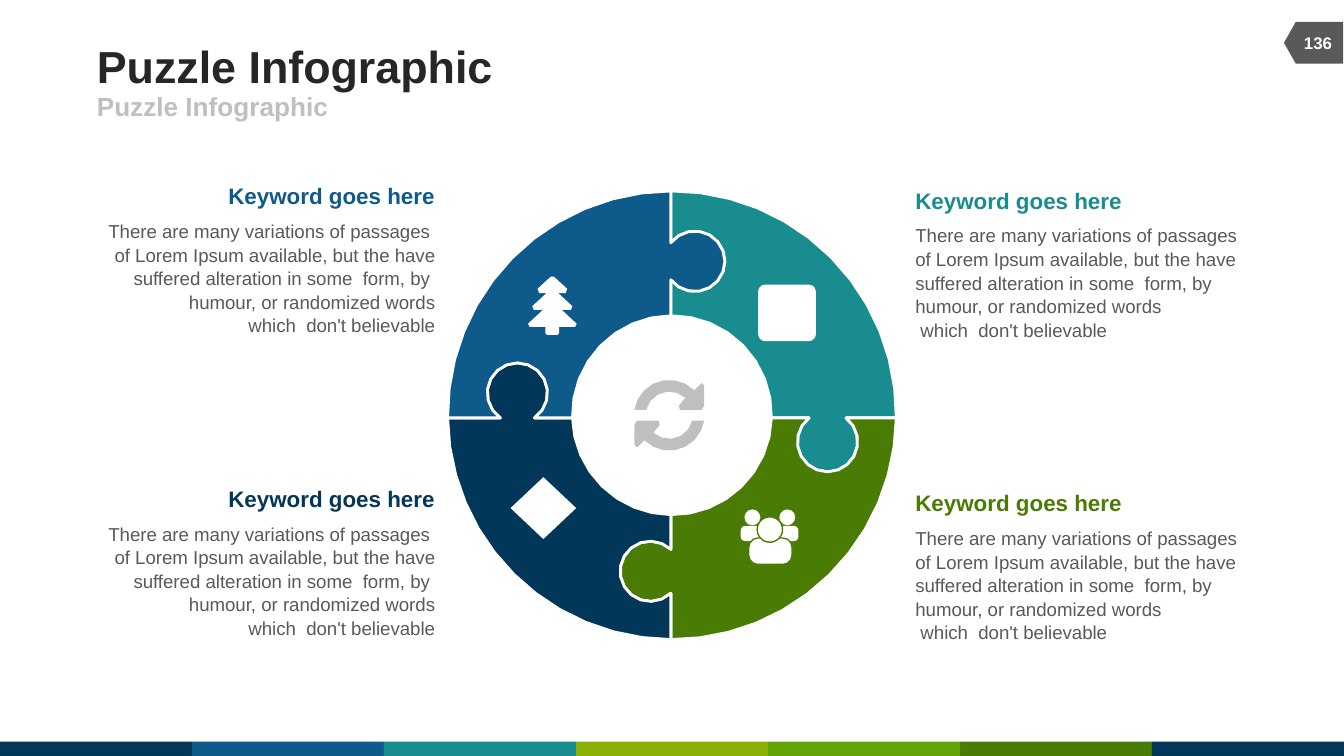
from math import atan2, ceil, cos, hypot, pi, sin, sqrt

from lxml import etree
from pptx import Presentation
from pptx.dml.color import RGBColor
from pptx.enum.shapes import MSO_SHAPE
from pptx.enum.text import MSO_ANCHOR, MSO_AUTO_SIZE, PP_ALIGN
from pptx.oxml.ns import qn
from pptx.util import Cm, Pt

LEFT, RIGHT, CENTER = PP_ALIGN.LEFT, PP_ALIGN.RIGHT, PP_ALIGN.CENTER
TOP, MIDDLE = MSO_ANCHOR.TOP, MSO_ANCHOR.MIDDLE
RECTANGLE, OVAL, DIAMOND = MSO_SHAPE.RECTANGLE, MSO_SHAPE.OVAL, MSO_SHAPE.DIAMOND
ROUNDED = MSO_SHAPE.ROUNDED_RECTANGLE
PAGE_TAG = MSO_SHAPE.FLOWCHART_OFFPAGE_CONNECTOR

WHITE = RGBColor(0xFF, 0xFF, 0xFF)
BLACK = RGBColor(0x26, 0x26, 0x26)
GRAY = RGBColor(0x59, 0x59, 0x59)
SILVER = RGBColor(0xBF, 0xBF, 0xBF)
NAVY = RGBColor(0x02, 0x37, 0x59)
BLUE = RGBColor(0x0E, 0x5A, 0x8B)
TEAL = RGBColor(0x19, 0x8C, 0x8F)
OLIVE = RGBColor(0x8B, 0xB1, 0x06)
LIME = RGBColor(0x63, 0xA4, 0x06)
GREEN = RGBColor(0x4A, 0x7B, 0x04)

WIDTH, HEIGHT = 25.4, 14.29
RING_CENTER = (12.7, 7.85)
OUTER_RADIUS, INNER_RADIUS = 4.24, 1.88
SEAM_CENTER = (12.68, 7.9)
KNOB_RADIUS = 0.57
# Distance along the seam and sideways offset: top, right, bottom, left.
KNOBS = [(2.96, 0.45), (2.96, 0.45), (2.9, 0.39), (2.9, 0.47)]
CURVE_TOLERANCE = 0.01

PASSAGE = ("of Lorem Ipsum available, but the have suffered alteration in some  form, by "
           "\vhumour, or randomized words\v which  don't believable")


def paint(shape, fill, line=None, line_width=1.5):
    shape.shadow.inherit = False
    shape.fill.solid()
    shape.fill.fore_color.rgb = fill
    if line is None:
        shape.line.fill.background()
    else:
        shape.line.color.rgb = line
        shape.line.width = Pt(line_width)


def add_preset(slide, kind, left, top, width, height, fill, line=None, line_width=1.5):
    shape = slide.shapes.add_shape(kind, Cm(left), Cm(top), Cm(width), Cm(height))
    paint(shape, fill, line, line_width)
    return shape


def add_outline(slide, points, fill, line=None):
    """Draw a closed shape through points given in centimetres."""
    points = [(Cm(x), Cm(y)) for x, y in points]
    builder = slide.shapes.build_freeform(*points[0])
    builder.add_line_segments(points[1:], close=True)
    paint(builder.convert_to_shape(), fill, line)


def arc(center, radius, start, sweep):
    """Points on an arc, just close enough to stay within the tolerance."""
    steps = ceil(abs(sweep) / sqrt(8 * CURVE_TOLERANCE / radius))
    angles = [start + sweep * step / steps for step in range(steps + 1)]
    return [(center[0] + radius * cos(a), center[1] + radius * sin(a)) for a in angles]


def arc_between(center, first, last, clockwise=True):
    start = atan2(first[1] - center[1], first[0] - center[0])
    end = atan2(last[1] - center[1], last[0] - center[0])
    sweep = (end - start) % (2 * pi) if clockwise else -((start - end) % (2 * pi))
    radius = hypot(first[0] - center[0], first[1] - center[1])
    return arc(center, radius, start, sweep)


def seam(angle, along, offset):
    """Points from the outer to the inner circle, round a knob on the clockwise side."""
    ux, uy = cos(angle), sin(angle)
    dx, dy = SEAM_CENTER[0] - RING_CENTER[0], SEAM_CENTER[1] - RING_CENTER[1]
    shift = dx * ux + dy * uy

    def reach(radius):
        return sqrt(radius ** 2 - dx ** 2 - dy ** 2 + shift ** 2) - shift

    start = atan2(-offset, sqrt(KNOB_RADIUS ** 2 - offset ** 2))
    knob = arc((along, offset), KNOB_RADIUS, start, pi - 2 * start)
    local = [(reach(OUTER_RADIUS), 0), *knob, (reach(INNER_RADIUS), 0)]
    return [(SEAM_CENTER[0] + a * ux - b * uy, SEAM_CENTER[1] + a * uy + b * ux)
            for a, b in local]


def add_puzzle_ring(slide):
    seams = [seam((index - 1) * pi / 2, *knob) for index, knob in enumerate(KNOBS)]
    for index, color in enumerate([TEAL, GREEN, NAVY, BLUE]):
        first, last = seams[index], seams[(index + 1) % 4]
        points = (arc_between(RING_CENTER, first[0], last[0]) + last[1:-1]
                  + arc_between(RING_CENTER, last[-1], first[-1], clockwise=False)
                  + first[-2:0:-1])
        add_outline(slide, points, color, WHITE)


def add_tree(slide):
    middle = 10.44
    half = [(0.03, 5.23), (0.28, 5.46), (0.25, 5.54), (0.11, 5.54), (0.38, 5.79),
            (0.35, 5.86), (0.18, 5.86), (0.46, 6.12), (0.43, 6.18), (0.13, 6.18),
            (0.13, 6.3), (0.1, 6.33)]
    points = ([(middle + x, y) for x, y in half]
              + [(middle - x, y) for x, y in reversed(half)])
    add_outline(slide, points, WHITE)


def add_people(slide):
    for head, shoulder in [(14.07, 14), (14.73, 14.73)]:
        add_preset(slide, OVAL, head, 9.63, 0.3, 0.3, WHITE)
        add_preset(slide, ROUNDED, shoulder, 9.94, 0.36, 0.29, WHITE).adjustments[0] = 0.3
    body = add_preset(slide, ROUNDED, 14.15, 10.17, 0.82, 0.5, WHITE, GREEN, 0.75)
    body.adjustments[0] = 0.35
    add_preset(slide, OVAL, 14.31, 9.77, 0.48, 0.48, WHITE, GREEN, 0.75)


def add_refresh_arrows(slide):
    center = (12.65, 7.85)
    head = [(13.26, 7.24), (13.31, 7.29), (13.31, 7.67), (13.26, 7.75), (12.85, 7.75),
            (12.83, 7.67)]
    arrow = (arc_between(center, (11.99, 7.75), (13.11, 7.39)) + head
             + arc_between(center, (12.95, 7.52), (12.22, 7.75), clockwise=False))
    add_outline(slide, arrow, SILVER)
    add_outline(slide, [(2 * center[0] - x, 2 * center[1] - y) for x, y in arrow], SILVER)


def write(shape, texts, size, color, bold=False, align=LEFT, anchor=TOP, spacing=1.0):
    frame = shape.text_frame
    frame.word_wrap = True
    frame.auto_size = MSO_AUTO_SIZE.NONE
    frame.vertical_anchor = anchor
    frame.margin_left = frame.margin_right = frame.margin_top = frame.margin_bottom = 0
    for index, text in enumerate(texts):
        paragraph = frame.paragraphs[0] if index == 0 else frame.add_paragraph()
        paragraph.text = text
        paragraph.alignment = align
        paragraph.line_spacing = spacing
        paragraph.space_before = Pt(0)
        font = paragraph.font
        font.name, font.size, font.bold = "Arial", Pt(size), bold
        font.color.rgb = color


def place(shape, left, top, width, height):
    shape.left, shape.top, shape.width, shape.height = map(Cm, (left, top, width, height))


def add_text(slide, left, top, width, height, texts, size, color, **style):
    box = slide.shapes.add_textbox(Cm(left), Cm(top), Cm(width), Cm(height))
    write(box, texts, size, color, **style)


def add_keyword_block(slide, left, top, color, align):
    opening = "There are many variations of passages" + (" " if align == RIGHT else "")
    add_text(slide, left, top, 6.32, 0.5, ["Keyword goes here"], 12, color,
             bold=True, align=align)
    add_text(slide, left, top + 0.69, 6.32, 2.13, [opening, PASSAGE], 10, GRAY,
             align=align, spacing=1.05)


def add_headings(slide):
    title, subtitle = slide.placeholders
    place(title, 1.83, 0.74, 15.67, 0.99)
    write(title, ["Puzzle Infographic"], 24, BLACK, bold=True, anchor=MIDDLE)
    place(subtitle, 1.83, 1.73, 11.43, 0.56)
    properties = subtitle.text_frame.paragraphs[0]._p.get_or_add_pPr()
    properties.set("marL", "0")
    properties.set("indent", "0")
    etree.SubElement(properties, qn("a:buNone"))
    write(subtitle, ["Puzzle Infographic"], 14, SILVER, bold=True, anchor=MIDDLE)


def add_page_furniture(slide):
    colors = [NAVY, BLUE, TEAL, OLIVE, LIME, GREEN, NAVY]
    bar_width = WIDTH / len(colors)
    for index, color in enumerate(colors):
        add_preset(slide, RECTANGLE, index * bar_width, 14.02, bar_width, 0.27, color)
    add_preset(slide, PAGE_TAG, 24.43, 0.25, 0.79, 1.12, GRAY).rotation = 90
    add_text(slide, 24.42, 0.43, 0.98, 0.76, ["136"], 9, WHITE,
             bold=True, align=CENTER, anchor=MIDDLE)


def main():
    presentation = Presentation()
    presentation.slide_width, presentation.slide_height = Cm(WIDTH), Cm(HEIGHT)
    slide = presentation.slides.add_slide(presentation.slide_layouts[1])
    add_page_furniture(slide)
    add_puzzle_ring(slide)
    add_headings(slide)
    for left, top, color, align in [(17.3, 9.25, GREEN, LEFT), (17.3, 3.53, TEAL, LEFT),
                                    (1.9, 3.45, BLUE, RIGHT), (1.9, 9.17, NAVY, RIGHT)]:
        add_keyword_block(slide, left, top, color, align)
    add_tree(slide)
    add_preset(slide, DIAMOND, 9.65, 9.02, 1.24, 1.17, WHITE)
    add_preset(slide, ROUNDED, 14.33, 5.38, 1.09, 1.07, WHITE).adjustments[0] = 0.12
    add_people(slide)
    add_refresh_arrows(slide)
    presentation.save("out.pptx")


if __name__ == "__main__":
    main()
